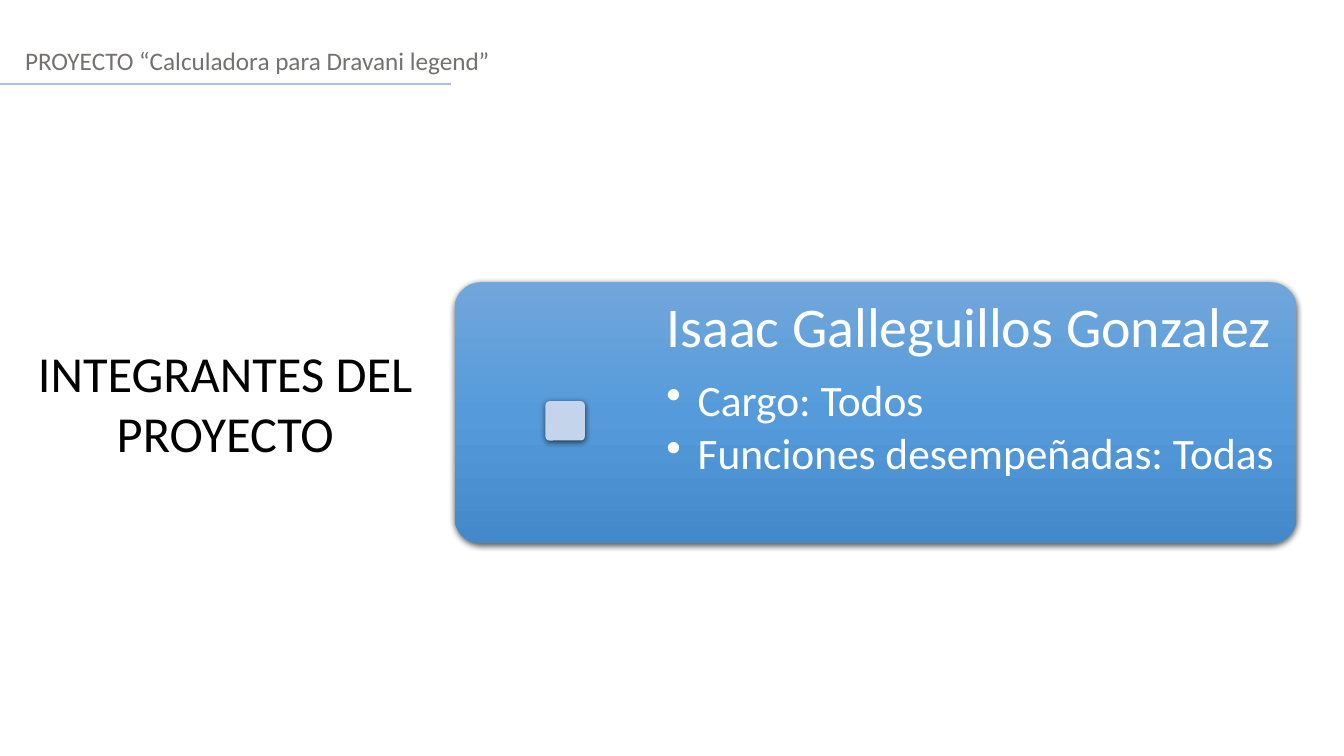
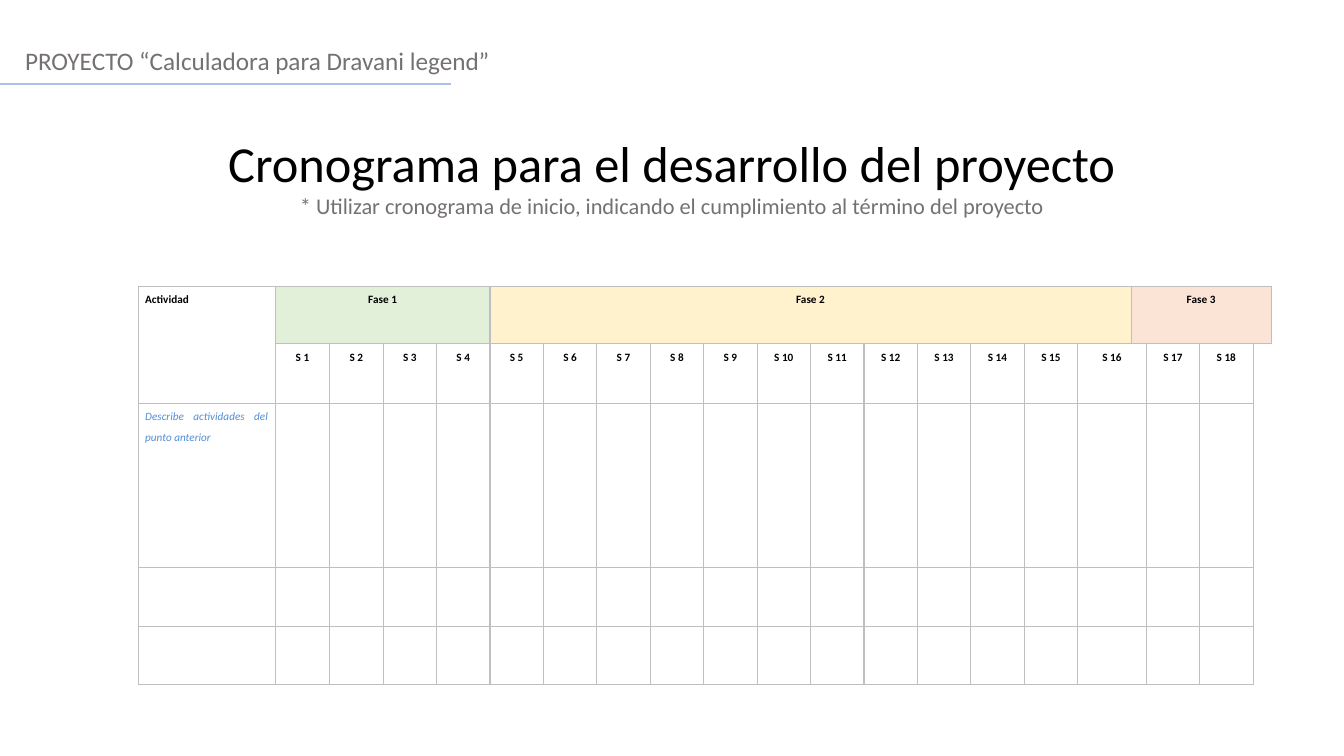
from dataclasses import dataclass

from lxml import etree
from pptx import Presentation
from pptx import util as u
from pptx.dml.color import RGBColor
from pptx.enum import shapes, text
from pptx.oxml import ns, parse_xml

PX = 9144
FONT = "Calibri"
HUES = {
    "black": "000000", "white": "FFFFFF", "gray": "767171", "rule": "ABC0E4",
    "top": "71A6DB", "mid": "559BDB", "low": "448ACA", "tile": "C4D5EB",
    "grid": "BFBFBF", "green": "E2EFD9", "gold": "FFF2CC", "peach": "FBE4D5",
    "hint": "548DD4",
}
XMLNS = ns.nsdecls("a")
LEFT, MID, JUST = text.PP_ALIGN.LEFT, text.PP_ALIGN.CENTER, text.PP_ALIGN.JUSTIFY


@dataclass(frozen=True)
class Box:
    x: int
    y: int
    w: int
    h: int

    def emu(self) -> tuple[int, int, int, int]:
        return self.x * PX, self.y * PX, self.w * PX, self.h * PX


@dataclass(frozen=True)
class Line:
    words: str
    size: int
    hue: str = "black"
    align: int = LEFT
    bold: bool = False
    slant: bool = False
    lead: float = 1.0
    after: int = 0
    dot: bool = False


@dataclass(frozen=True)
class Phase:
    name: str
    hue: str
    first: int
    last: int


HEAD = Line("PROYECTO “Calculadora para Dravani legend”", 18, "gray")
TEAM = [Line("INTEGRANTES DEL PROYECTO", 36, align=MID)]
PLAN = [
    Line("Cronograma para el desarrollo del proyecto", 36, align=MID),
    Line("* Utilizar cronograma de inicio, indicando el cumplimiento al término del proyecto",
         16, "gray", MID),
]
MEMBER = [
    Line("Isaac Galleguillos Gonzalez", 40, "white", lead=0.9, after=14),
    Line("Cargo: Todos", 31, "white", lead=0.9, after=4, dot=True),
    Line("Funciones desempeñadas: Todas", 31, "white", lead=0.9, after=4, dot=True),
]
PHASES = [
    Phase("Fase 1", "green", 1, 4),
    Phase("Fase 2", "gold", 5, 16),
    Phase("Fase 3", "peach", 17, 20),
]
COLS = [136, 54] + [53] * 15 + [15, 53, 53, 15]
ROWS = [57, 59, 163, 59, 57]
WEEKS = [*range(1, 17), 18, 19]


def color(name: str) -> RGBColor:
    return RGBColor.from_string(HUES[name])


def write(frame, lines: list[Line]) -> None:
    frame.text = "\n".join(line.words for line in lines)
    for para, line in zip(frame.paragraphs, lines):
        para.alignment = line.align
        para.line_spacing = line.lead
        para.space_after = u.Pt(line.after)
        if line.dot:
            props = para._p.get_or_add_pPr()
            props.set("marL", str(31 * PX))
            props.set("indent", str(-31 * PX))
            etree.SubElement(props, ns.qn("a:buChar"), char="•")
        for run in para.runs:
            font = run.font
            font.name, font.size = FONT, u.Pt(line.size)
            font.bold, font.italic = line.bold, line.slant
            font.color.rgb = color(line.hue)


def label(slide, box: Box, lines: list[Line], inset: int = 0) -> None:
    frame = slide.shapes.add_textbox(*box.emu()).text_frame
    frame.word_wrap = True
    if inset:
        frame.margin_left = frame.margin_right = inset * PX
        frame.margin_top = frame.margin_bottom = inset * PX
    write(frame, lines)


def start(deck, box: Box, title: list[Line]):
    slide = deck.slides.add_slide(deck.slide_layouts[5])
    head = slide.shapes.title
    head.left, head.top, head.width, head.height = box.emu()
    frame = head.text_frame
    frame.word_wrap = True
    frame.auto_size = text.MSO_AUTO_SIZE.NONE
    frame.vertical_anchor = text.MSO_ANCHOR.TOP
    write(frame, title)
    label(slide, Box(15, 40, 1300, 40), [HEAD])
    rule = slide.shapes.add_connector(
        shapes.MSO_CONNECTOR.STRAIGHT, 0, 83 * PX, 447 * PX, 83 * PX)
    rule.line.color.rgb = color("rule")
    rule.line.width = u.Pt(1.25)
    etree.SubElement(rule._element.spPr, ns.qn("a:effectLst"))
    return slide


def panel(slide, box: Box, hues: list[str]) -> None:
    shape = slide.shapes.add_shape(shapes.MSO_SHAPE.ROUNDED_RECTANGLE, *box.emu())
    shape.adjustments[0] = 0.1
    shape.line.fill.background()
    shape.shadow.inherit = False
    props = shape._element.spPr
    if len(hues) == 1:
        shape.fill.solid()
        shape.fill.fore_color.rgb = color(hues[0])
    else:
        step = 100000 // (len(hues) - 1)
        stops = "".join(
            f'<a:gs pos="{i * step}"><a:srgbClr val="{HUES[hue]}"/></a:gs>'
            for i, hue in enumerate(hues))
        props.find(ns.qn("a:ln")).addprevious(parse_xml(
            f'<a:gradFill {XMLNS} rotWithShape="1"><a:gsLst>{stops}</a:gsLst>'
            '<a:lin ang="5400000" scaled="0"/></a:gradFill>'))
    props.find(ns.qn("a:effectLst")).append(parse_xml(
        f'<a:outerShdw {XMLNS} blurRad="57150" dist="19050" dir="5400000" '
        'algn="ctr" rotWithShape="0"><a:srgbClr val="000000">'
        '<a:alpha val="63000"/></a:srgbClr></a:outerShdw>'))


def style(cell, sides: str, hue: str = "") -> None:
    cell.margin_left = cell.margin_right = 7 * PX
    cell.margin_top = cell.margin_bottom = 0
    props = cell._tc.get_or_add_tcPr()
    for side in "LRTB":
        paint = "<a:noFill/>"
        if side in sides:
            paint = f'<a:solidFill><a:srgbClr val="{HUES["grid"]}"/></a:solidFill>'
        props.append(parse_xml(f'<a:ln{side} {XMLNS} w="12700">{paint}</a:ln{side}>'))
    if hue:
        cell.fill.solid()
        cell.fill.fore_color.rgb = color(hue)
    else:
        cell.fill.background()


def note(cell, words: str, align: int = MID, hint: bool = False) -> None:
    hue = "hint" if hint else "black"
    write(cell.text_frame,
          [Line(words, 8, hue, align, not hint, hint, lead=1.5, after=8)])


def chart(slide) -> None:
    box = Box(137, 284, sum(COLS), sum(ROWS))
    grid = slide.shapes.add_table(len(ROWS), len(COLS), *box.emu()).table
    grid.first_row = grid.horz_banding = False
    for col, width in zip(grid.columns, COLS):
        col.width = width * PX
    for row, height in zip(grid.rows, ROWS):
        row.height = height * PX
    fills = {c: p.hue for p in PHASES for c in range(p.first, p.last + 1)}
    end = len(COLS) - 1
    for r in range(len(ROWS)):
        for c in range(len(COLS)):
            sides = "LRTB"
            if c == end and r:
                sides = "LT" if r == 1 else "L"
            style(grid.cell(r, c), sides, fills.get(c, "") if r == 0 else "")
    grid.cell(0, 0).merge(grid.cell(1, 0))
    for phase in PHASES:
        grid.cell(0, phase.first).merge(grid.cell(0, phase.last))
        note(grid.cell(0, phase.first), phase.name)
    for r in range(1, len(ROWS)):
        grid.cell(r, 16).merge(grid.cell(r, 17))
    for week, c in enumerate(WEEKS, 1):
        note(grid.cell(1, c), f"S {week}")
    note(grid.cell(0, 0), "Actividad", JUST)
    note(grid.cell(2, 0), "Describe actividades del punto anterior", JUST, True)


def main() -> None:
    deck = Presentation()
    deck.slide_width, deck.slide_height = 1333 * PX, 750 * PX
    team = start(deck, Box(26, 334, 395, 131), TEAM)
    panel(team, Box(451, 280, 835, 259), ["top", "mid", "low"])
    label(team, Box(644, 280, 642, 259), MEMBER, 17)
    panel(team, Box(541, 398, 39, 39), ["tile"])
    plan = start(deck, Box(0, 126, 1333, 98), PLAN)
    chart(plan)
    deck.save("out.pptx")


if __name__ == "__main__":
    main()
